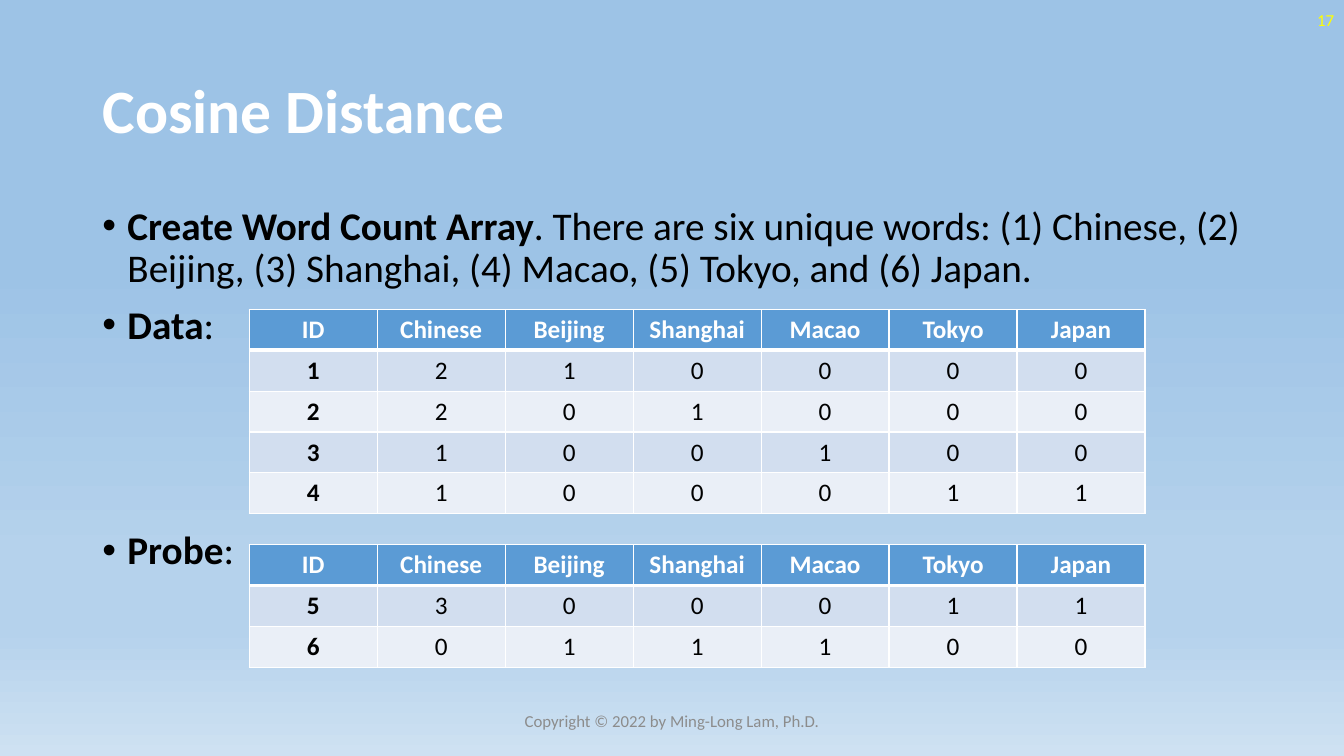
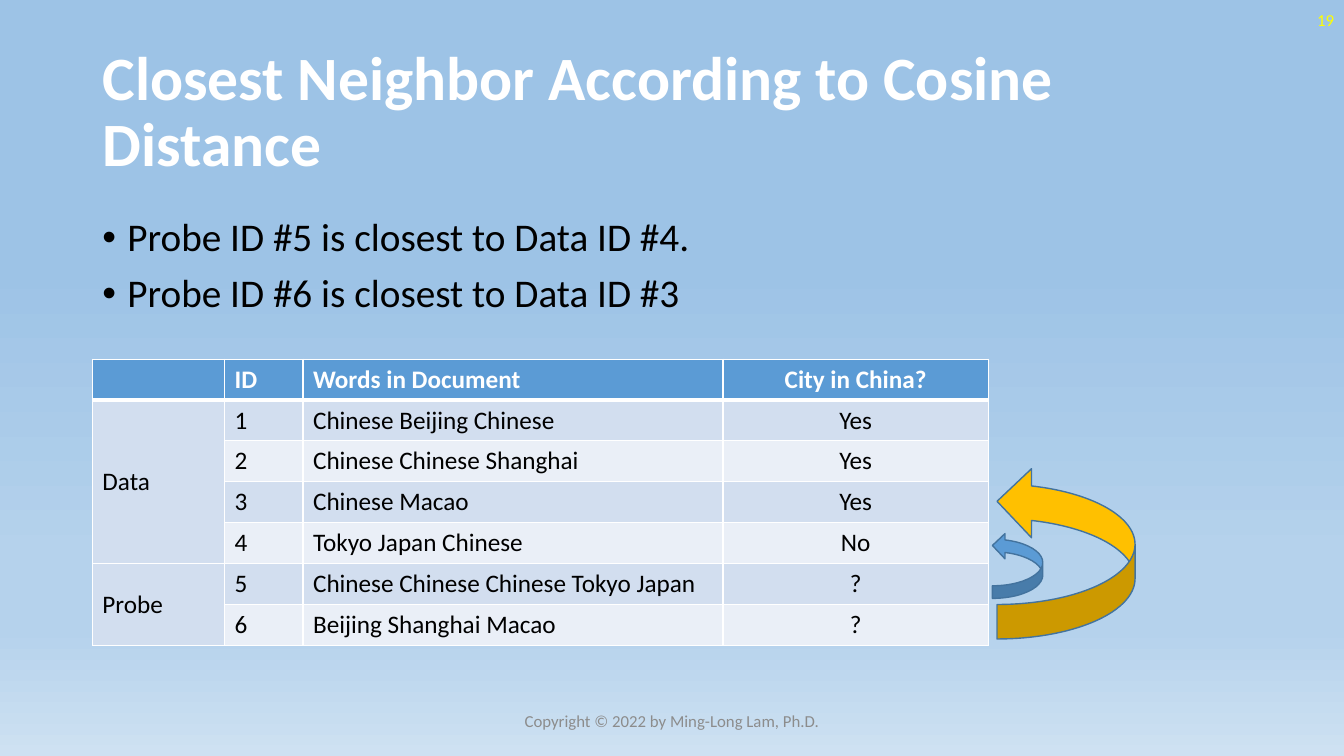
from lxml.etree import SubElement
from pptx import Presentation
from pptx.dml.color import RGBColor
from pptx.enum.shapes import MSO_SHAPE as Preset
from pptx.enum.text import MSO_ANCHOR as Anchor, MSO_AUTO_SIZE as AutoSize, PP_ALIGN as Align
from pptx.oxml.ns import qn
from pptx.util import Pt

WHITE = RGBColor(0xFF, 0xFF, 0xFF)
BLACK = RGBColor(0x00, 0x00, 0x00)
YELLOW = RGBColor(0xFF, 0xFF, 0x00)
GREY = RGBColor(0x8C, 0x8C, 0x8C)
BLUE = RGBColor(0x5B, 0x9B, 0xD5)
DARK_BLUE = RGBColor(0x43, 0x73, 0x9E)
GOLD = RGBColor(0xFF, 0xC0, 0x00)
BAND_DARK = RGBColor(0xD2, 0xDE, 0xEF)
BAND_LIGHT = RGBColor(0xEA, 0xEF, 0xF7)
SKY = RGBColor(0x9D, 0xC3, 0xE6)
PALE_SKY = RGBColor(0xB5, 0xD2, 0xEC)
HAZE = RGBColor(0xCE, 0xE1, 0xF2)
BACKGROUND_STOPS = [(35, SKY), (74, PALE_SKY), (83, PALE_SKY), (100, HAZE)]

FONT = "Calibri"
TITLE_FRAME = (66, 28.75, 828, 104.4)
NUMBER_FRAME = (744, 0, 216, 28.75)
FOOTER_FRAME = (318, 500.5, 324, 28.75)
FOOTER = "Copyright © 2022 by Ming-Long Lam, Ph.D."
ROW_HEIGHT = 29.2
TABLE_WIDTH = 640
BULLET_INDENT = 18
PARAGRAPH_GAP = 10


class Deck:
    def __init__(self):
        self.presentation = Presentation()
        self.presentation.slide_width = Pt(960)
        self.presentation.slide_height = Pt(540)
        self.slide = None
        self.paint_background()

    def paint_background(self):
        master = self.presentation.slide_master
        fill = master.background.fill
        fill.gradient()
        fill.gradient_angle = 270
        stops = master.element.xpath("./p:cSld/p:bg//a:gsLst")[0]
        for stop in list(stops):
            stops.remove(stop)
        for percent, color in BACKGROUND_STOPS:
            stop = SubElement(stops, qn("a:gs"), pos=str(percent * 1000))
            SubElement(stop, qn("a:srgbClr"), val=str(color))

    def add_slide(self, title, number):
        self.slide = self.presentation.slides.add_slide(self.presentation.slide_layouts[5])
        shape = self.slide.shapes.title
        shape.left, shape.top, shape.width, shape.height = map(Pt, TITLE_FRAME)
        frame = shape.text_frame
        frame.auto_size = AutoSize.NONE
        frame.vertical_anchor = Anchor.MIDDLE
        paragraph = frame.paragraphs[0]
        paragraph.alignment = Align.LEFT
        paragraph.line_spacing = 0.9
        self.add_run(paragraph, title, 44, WHITE, True)
        self.add_label(NUMBER_FRAME, str(number), YELLOW, Align.RIGHT)
        self.add_label(FOOTER_FRAME, FOOTER, GREY, Align.CENTER)

    def add_run(self, paragraph, text, size, color, bold=False):
        run = paragraph.add_run()
        run.text = text
        font = run.font
        font.name, font.size, font.bold = FONT, Pt(size), bold
        font.color.rgb = color

    def add_text_frame(self, frame):
        text_frame = self.slide.shapes.add_textbox(*map(Pt, frame)).text_frame
        text_frame.word_wrap = True
        return text_frame

    def add_label(self, frame, text, color, alignment):
        text_frame = self.add_text_frame(frame)
        text_frame.vertical_anchor = Anchor.MIDDLE
        paragraph = text_frame.paragraphs[0]
        paragraph.alignment = alignment
        self.add_run(paragraph, text, 12, color)

    def add_bullets(self, frame, bullets):
        text_frame = self.add_text_frame(frame)
        for index, (gap, runs) in enumerate(bullets):
            paragraph = text_frame.add_paragraph() if index else text_frame.paragraphs[0]
            paragraph.line_spacing = 0.9
            paragraph.space_before = Pt(gap)
            properties = paragraph._p.get_or_add_pPr()
            properties.set("marL", str(Pt(BULLET_INDENT)))
            properties.set("indent", str(Pt(-BULLET_INDENT)))
            SubElement(properties, qn("a:buFont"), typeface="Arial")
            SubElement(properties, qn("a:buChar"), char="•")
            for text, bold in runs:
                self.add_run(paragraph, text, 28, BLACK, bold)

    def add_table(self, left, top, widths, rows, alignments, bold_first=False, merges=()):
        frame = (left, top, sum(widths), ROW_HEIGHT * len(rows))
        table = self.slide.shapes.add_table(len(rows), len(widths), *map(Pt, frame)).table
        table.first_row = table.horz_banding = False
        for column, width in zip(table.columns, widths):
            column.width = Pt(width)
        for row_index, values in enumerate(rows):
            table.rows[row_index].height = Pt(ROW_HEIGHT)
            for column_index, text in enumerate(values):
                bold = row_index == 0 or (bold_first and column_index == 0)
                self.fill_cell(table.cell(row_index, column_index), row_index, text,
                               alignments[column_index], bold)
        for first, last in merges:
            origin = table.cell(first, 0)
            origin.merge(table.cell(last, 0))
            origin.fill.fore_color.rgb = BAND_DARK

    def fill_cell(self, cell, row_index, text, alignment, bold):
        properties = cell._tc.get_or_add_tcPr()
        widths = {"L": 1, "R": 1, "T": 3 if row_index == 1 else 1, "B": 1 if row_index else 3}
        for side, width in widths.items():
            line = SubElement(properties, qn(f"a:ln{side}"), w=str(Pt(width)))
            fill = SubElement(line, qn("a:solidFill"))
            SubElement(fill, qn("a:srgbClr"), val=str(WHITE))
        cell.fill.solid()
        band = BAND_DARK if row_index % 2 else BAND_LIGHT
        cell.fill.fore_color.rgb = band if row_index else BLUE
        cell.vertical_anchor = Anchor.MIDDLE
        paragraph = cell.text_frame.paragraphs[0]
        paragraph.alignment = alignment
        if text:
            self.add_run(paragraph, text, 18, BLACK if row_index else WHITE, bold)

    def add_return_arrow(self, frame, color):
        shape = self.slide.shapes.add_shape(Preset.CURVED_UP_ARROW, *map(Pt, frame))
        shape.rotation = 270
        shape.shadow.inherit = False
        shape.fill.solid()
        shape.fill.fore_color.rgb = color
        shape.line.color.rgb = DARK_BLUE
        shape.line.width = Pt(1)


def add_word_counts(deck, top, counts):
    header = ["ID", "Chinese", "Beijing", "Shanghai", "Macao", "Tokyo", "Japan"]
    columns = len(header)
    deck.add_table(178, top, [TABLE_WIDTH / columns] * columns, [header, *counts],
                   [Align.CENTER] * columns, bold_first=True)


def build_word_count_slide(deck):
    deck.add_slide("Cosine Distance", 17)
    deck.add_bullets((66, 144, 828, 347), [
        (PARAGRAPH_GAP, [
            ("Create Word Count Array", True),
            (". There are six unique words: (1) Chinese, (2) Beijing, (3) Shanghai, "
             "(4) Macao, (5) Tokyo, and (6) Japan.", False)]),
        (PARAGRAPH_GAP, [("Data", True), (":", False)]),
        (131, [("Probe", True), (":", False)]),
    ])
    add_word_counts(deck, 221, ["1210000", "2201000", "3100100", "4100011"])
    add_word_counts(deck, 389, ["5300011", "6011100"])


def build_neighbor_slide(deck):
    deck.add_slide("Closest Neighbor According to Cosine Distance", 19)
    sentences = ["Probe ID #5 is closest to Data ID #4.", "Probe ID #6 is closest to Data ID #3"]
    deck.add_bullets((66, 152, 828, 85),
                     [(PARAGRAPH_GAP, [(sentence, False)]) for sentence in sentences])
    rows = [
        ("", "ID", "Words in Document", "City in China?"),
        ("Data", "1", "Chinese Beijing Chinese", "Yes"),
        ("", "2", "Chinese Chinese Shanghai", "Yes"),
        ("", "3", "Chinese Macao", "Yes"),
        ("", "4", "Tokyo Japan Chinese", "No"),
        ("Probe", "5", "Chinese Chinese Chinese Tokyo Japan", "?"),
        ("", "6", "Beijing Shanghai Macao", "?"),
    ]
    deck.add_table(66, 256.5, [94.5, 56, 300, 189.5], rows,
                   [Align.LEFT] * 3 + [Align.CENTER], merges=[(1, 4), (5, 6)])
    deck.add_return_arrow((703.5, 386, 46.8, 36), BLUE)
    deck.add_return_arrow((700, 345.6, 123, 98.6), GOLD)


def main():
    deck = Deck()
    build_word_count_slide(deck)
    build_neighbor_slide(deck)
    deck.presentation.save("out.pptx")


if __name__ == "__main__":
    main()
